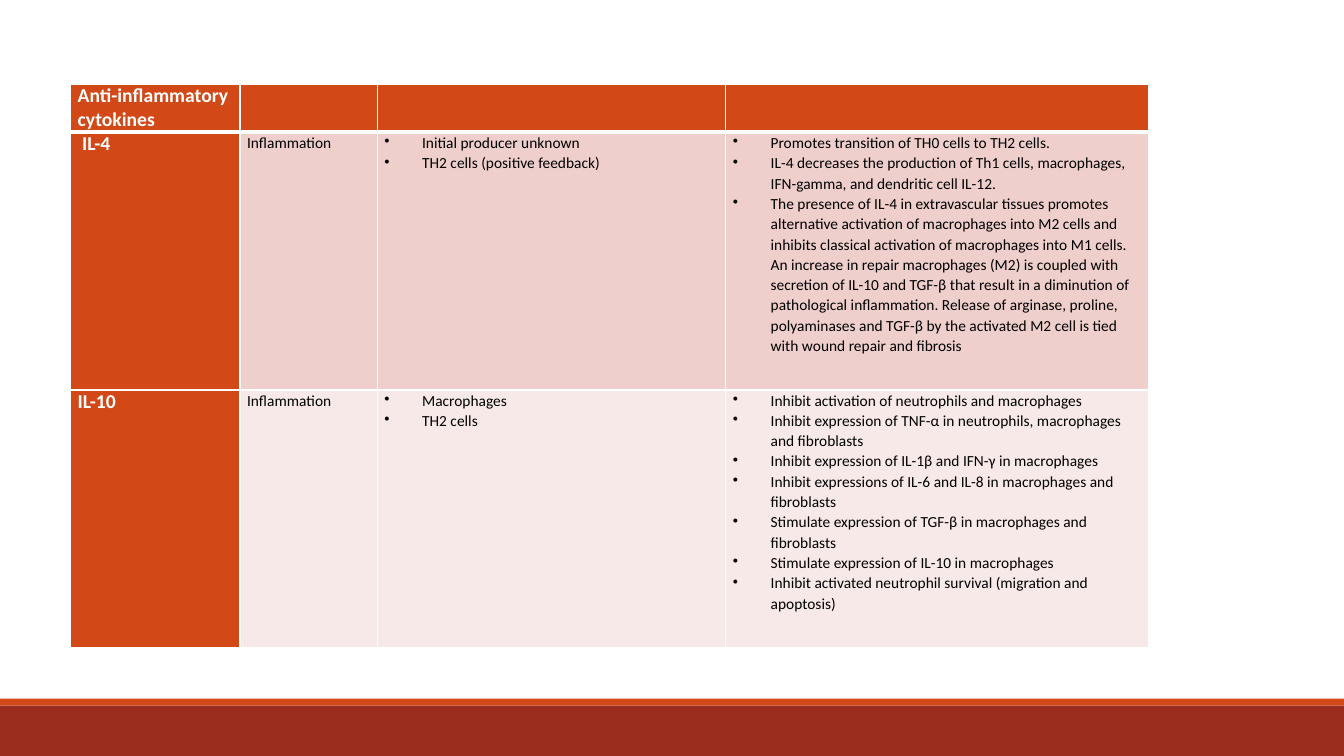
"""Build a slide with a table of anti-inflammatory cytokines."""
from lxml import etree
from pptx import Presentation
from pptx import util as u
from pptx.dml import color
from pptx.enum import shapes
from pptx.oxml import ns

ORANGE, RED, WHITE, BLACK = "D34817", "9B2D1F", "FFFFFF", "000000"
ROW_TINTS = ["EFCFCC", "F7E9E8"]
COLUMN_WIDTHS = [121, 98, 249, 302]
ROW_HEIGHTS = [34.5, 184, 184]
HEADING = {"size": u.Pt(14), "bold": True, "name": "Calibri"}
BODY = {"size": u.Pt(11), "bold": False, "name": "Calibri"}
INSETS = {"margin_left": u.Pt(5), "margin_right": u.Pt(5),
          "margin_top": 0, "margin_bottom": 0}
HEADER = "Anti-inflammatory cytokines"
CYTOKINES = [
    (" IL-4", "Inflammation",
     ["Initial producer unknown", "TH2 cells (positive feedback)"],
     ["Promotes transition of TH0 cells to TH2 cells.",
      "IL-4 decreases the production of Th1 cells, macrophages, IFN-gamma, "
      "and dendritic cell IL-12.",
      "The presence of IL-4 in extravascular tissues promotes alternative "
      "activation of macrophages into M2 cells and inhibits classical "
      "activation of macrophages into M1 cells. An increase in repair "
      "macrophages (M2) is coupled with secretion of IL-10 and TGF-β that "
      "result in a diminution of pathological inflammation. Release of "
      "arginase, proline, polyaminases and TGF-β by the activated M2 cell is "
      "tied with wound repair and fibrosis"]),
    ("IL-10", "Inflammation",
     ["Macrophages", "TH2 cells"],
     ["Inhibit activation of neutrophils and macrophages",
      "Inhibit expression of TNF-α in neutrophils, macrophages and fibroblasts",
      "Inhibit expression of IL-1β and IFN-γ in macrophages",
      "Inhibit expressions of IL-6 and IL-8 in macrophages and fibroblasts",
      "Stimulate expression of TGF-β in macrophages and fibroblasts",
      "Stimulate expression of IL-10 in macrophages",
      "Inhibit activated neutrophil survival (migration and apoptosis)"]),
]


def apply(target, values):
    """Set each named attribute on the target."""
    for name, value in values.items():
        setattr(target, name, value)


def paint(fill, shade):
    """Make a fill solid in the given hex colour."""
    fill.solid()
    fill.fore_color.rgb = color.RGBColor.from_string(shade)


def add_band(page, top, height, shade):
    """Add a full-width footer band."""
    box = page.shapes.add_shape(shapes.MSO_SHAPE.RECTANGLE,
                                0, u.Pt(top), u.Pt(960), u.Pt(height))
    box.shadow.inherit = False
    paint(box.fill, shade)
    box.line.fill.background()


def add_bullet(para):
    """Give a paragraph a hanging round bullet."""
    properties = para._p.get_or_add_pPr()
    indent = u.Pt(27)
    properties.set("marL", str(indent))
    properties.set("indent", str(-indent))
    bullet = etree.SubElement(properties, ns.qn("a:buChar"))
    bullet.set("char", "•")


def add_borders(cell, bottom):
    """Draw white cell borders with the given bottom width."""
    properties = cell._tc.get_or_add_tcPr()
    widths = {"lnL": 1, "lnR": 1, "lnT": 1, "lnB": bottom}
    for place, (tag, width) in enumerate(widths.items()):
        line = etree.Element(ns.qn("a:" + tag), w=str(u.Pt(width)))
        solid = etree.SubElement(line, ns.qn("a:solidFill"))
        etree.SubElement(solid, ns.qn("a:srgbClr"), val=WHITE)
        properties.insert(place, line)


def fill_cell(cell, lines, shade, style, ink, spacing=None, bullets=False):
    """Write paragraphs into a cell and format them."""
    apply(cell, INSETS)
    paint(cell.fill, shade)
    cell.text = "\n".join(lines)
    for para in cell.text_frame.paragraphs:
        para.line_spacing = spacing
        if bullets:
            add_bullet(para)
        for span in para.runs:
            apply(span.font, style)
            span.font.color.rgb = color.RGBColor.from_string(ink)


def add_cytokine_table(page):
    """Add the table with its header and one row for each cytokine."""
    table = page.shapes.add_table(
        len(ROW_HEIGHTS), len(COLUMN_WIDTHS), u.Pt(50.5), u.Pt(60),
        u.Pt(sum(COLUMN_WIDTHS)), u.Pt(sum(ROW_HEIGHTS))).table
    for column, width in zip(table.columns, COLUMN_WIDTHS):
        column.width = u.Pt(width)
    for row, height in zip(table.rows, ROW_HEIGHTS):
        row.height = u.Pt(height)
    for cell, label in zip(table.rows[0].cells, [HEADER, "", "", ""]):
        fill_cell(cell, [label], ORANGE, HEADING, WHITE)
        add_borders(cell, 3)
    for index, (entry, tint) in enumerate(zip(CYTOKINES, ROW_TINTS), 1):
        name, role, sources, effects = entry
        cells = list(table.rows[index].cells)
        fill_cell(cells[0], [name], ORANGE, HEADING, WHITE)
        fill_cell(cells[1], [role], tint, BODY, BLACK, 1.07)
        fill_cell(cells[2], sources, tint, BODY, BLACK, 1.07, True)
        fill_cell(cells[3], effects, tint, BODY, BLACK, 1.07, True)
        for cell in cells:
            add_borders(cell, 1)
    for cell in table.rows[1].cells:
        cell._tc.tcPr.find(ns.qn("a:lnT")).set("w", str(u.Pt(3)))


def main():
    """Build and save the deck."""
    deck = Presentation()
    apply(deck, {"slide_width": u.Pt(960), "slide_height": u.Pt(540)})
    page = deck.slides.add_slide(deck.slide_layouts[6])
    add_band(page, 504, 36, RED)
    add_band(page, 499, 5, ORANGE)
    add_cytokine_table(page)
    deck.save("out.pptx")


if __name__ == "__main__":
    main()
